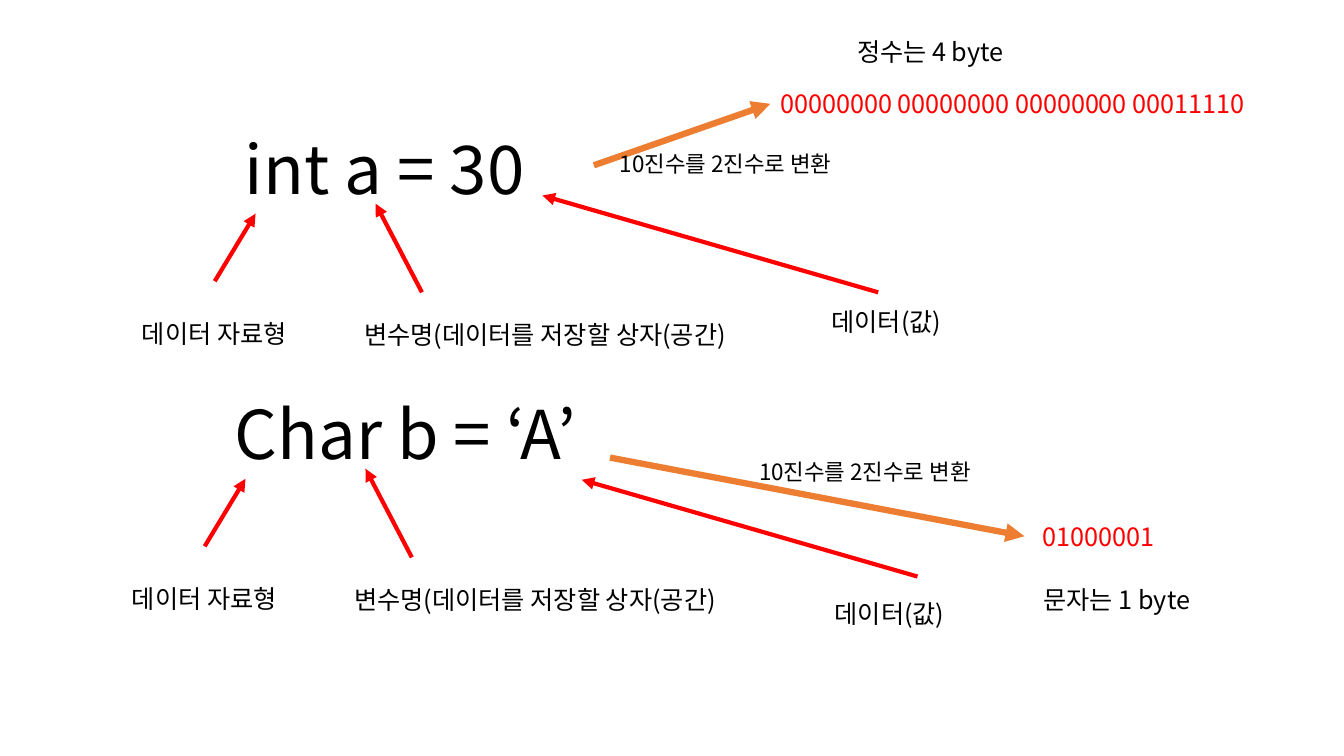
import lxml.etree
import pptx
import pptx.dml.color
import pptx.enum.shapes
import pptx.enum.text
import pptx.oxml.ns
import pptx.util

COLORS = {"text": "000000", "red": "FF0000", "orange": "ED7D31"}
FONT = "Noto Sans CJK KR"
CONVERT = "10진수를 2진수로 변환"
ALIGN = pptx.enum.text.PP_ALIGN


class Canvas:
    """Draws on a grid of square cells, ten to the inch."""

    CELL = pptx.util.Inches(0.1)

    def __init__(self, slide):
        self.s = slide

    def cells(self, *values):
        return [round(v * self.CELL) for v in values]

    def rgb(self, name):
        return pptx.dml.color.RGBColor.from_string(COLORS[name])

    def text(self, words, col, row, cols, size=18, color="text", align=ALIGN.LEFT):
        rows = {16: 3.7, 18: 4, 48: 9.1}[size]
        tf = self.s.shapes.add_textbox(*self.cells(col, row, cols, rows)).text_frame
        tf.word_wrap = True
        tf.auto_size = pptx.enum.text.MSO_AUTO_SIZE.SHAPE_TO_FIT_TEXT
        p = tf.paragraphs[0]
        p.alignment = align
        r = p.add_run()
        r.text = words
        r.font.size = pptx.util.Pt(size)
        r.font.color.rgb = self.rgb(color)
        r.font.name = FONT
        # East Asian letters take their own font element
        ea = lxml.etree.SubElement(r._r.get_or_add_rPr(), pptx.oxml.ns.qn("a:ea"))
        ea.set("typeface", FONT)

    def arrow(self, start, end, color="red", width=3):
        c = self.s.shapes.add_connector(
            pptx.enum.shapes.MSO_CONNECTOR.STRAIGHT, *self.cells(*start, *end))
        c.line.color.rgb = self.rgb(color)
        c.line.width = pptx.util.Pt(width)
        tail = lxml.etree.SubElement(c.line._get_or_add_ln(), pptx.oxml.ns.qn("a:tailEnd"))
        tail.set("type", "triangle")
        lxml.etree.SubElement(c._element.spPr, pptx.oxml.ns.qn("a:effectLst"))

    def declaration(self, code, x, y, value_tip, value_label):
        """A line of code with arrows to its type, name and value."""
        self.text(code, x, y, 70.2, size=48)
        # Data type
        self.arrow((x - 2, y + 15.8), (x + 2.05, y + 9.1))
        self.text("데이터 자료형", x - 10.2, y + 19, 24.5)
        # Variable name
        self.arrow((x + 18.55, y + 16.9), (x + 13.95, y + 8.1))
        self.text("변수명(데이터를 저장할 상자(공간)", x + 11.85, y + 19.1, 46.3)
        # Value
        tip_x, tip_y = value_tip
        self.arrow((tip_x + 33.3, tip_y + 9.6), value_tip)
        self.text("데이터(값)", *value_label, 17.4)


def main():
    prs = pptx.Presentation()
    prs.slide_width = pptx.util.Inches(13.33)
    prs.slide_height = pptx.util.Inches(7.5)
    s = Canvas(prs.slides.add_slide(prs.slide_layouts[6]))

    # Declarations
    s.declaration("int a = 30", 23.3, 12.1, (53.8, 19.4), (81.5, 29.9))
    s.declaration("Char b = ‘A’", 22.3, 38.4, (57.7, 47.6), (81.8, 58.9))

    # Integer in binary
    s.text("정수는 4 byte ", 78.3, 3.1, 28.5, align=ALIGN.CENTER)
    s.text("00000000 00000000 00000000 00011110", 76.4, 8.3, 51.9, color="red")
    s.arrow((58.9, 16.4), (76.4, 10.3), "orange", 4.5)
    s.text(CONVERT, 60.5, 14.4, 70.2, size=16)

    # Character in binary
    s.text("문자는 1 byte ", 96.8, 57.5, 28.5, align=ALIGN.CENTER)
    s.text("01000001", 102.4, 51.2, 20.5, color="red")
    s.arrow((60.5, 45.4), (101.6, 53.2), "orange", 4.5)
    s.text(CONVERT, 74.3, 45, 27.2, size=16)

    prs.save("out.pptx")


if __name__ == "__main__":
    main()
